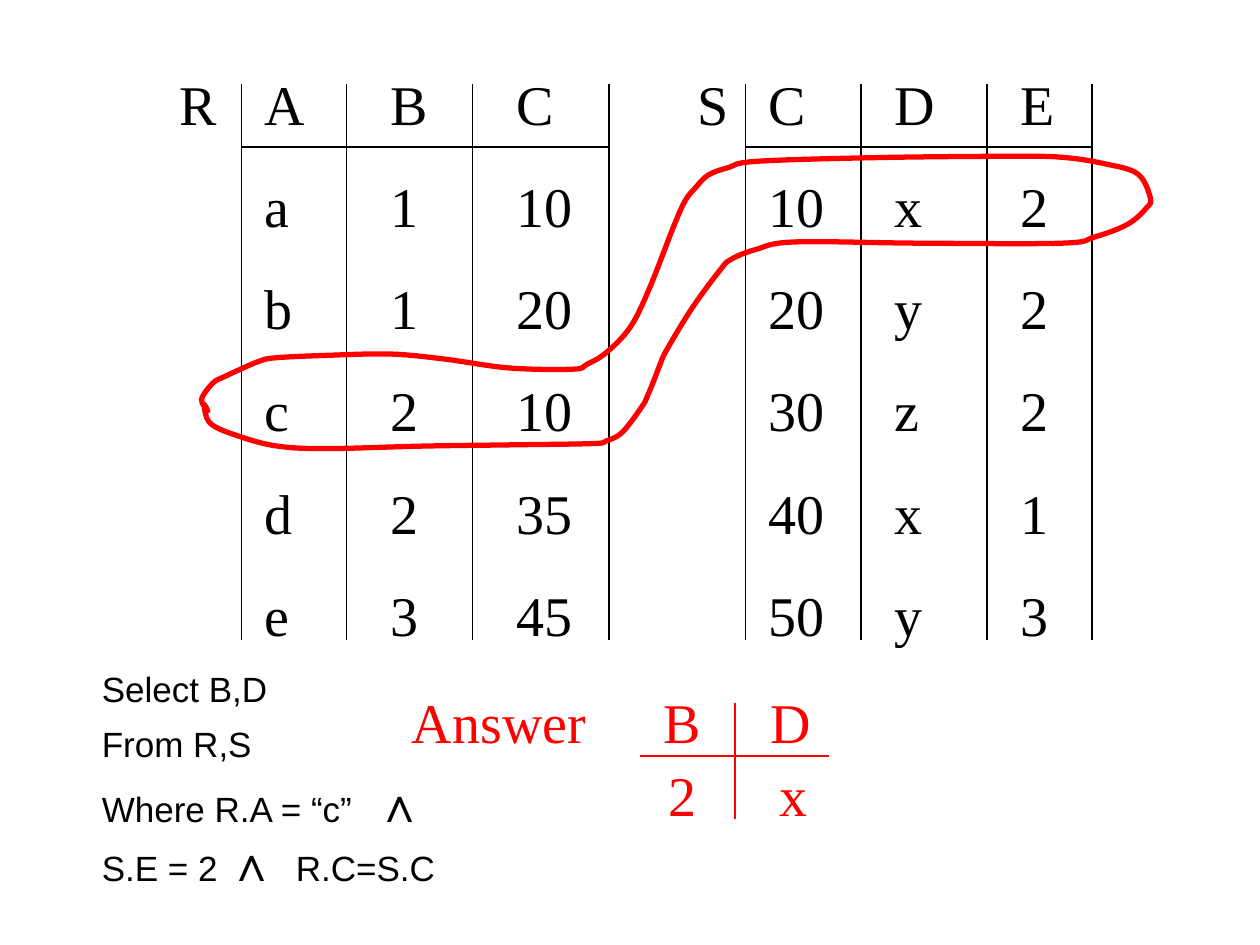
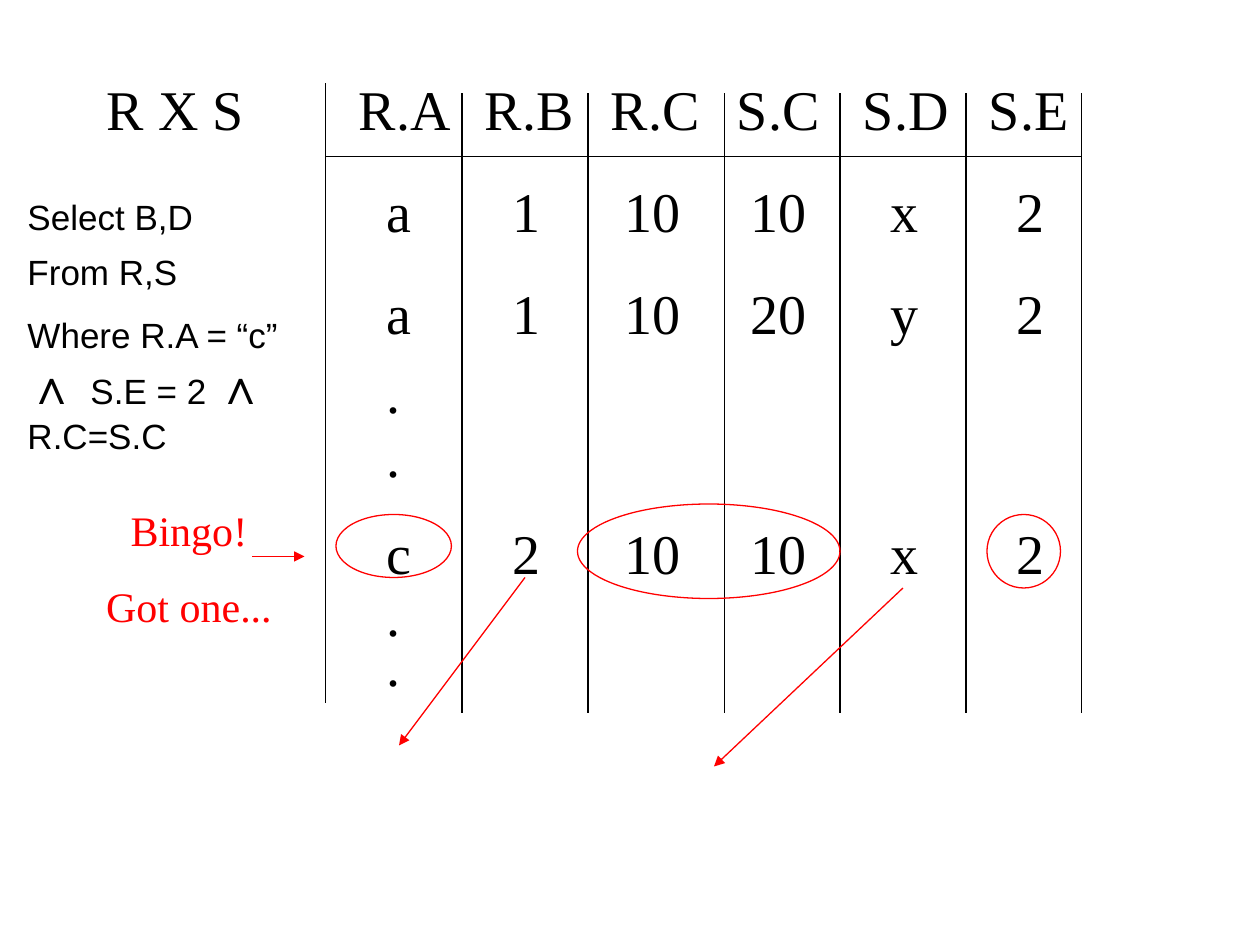
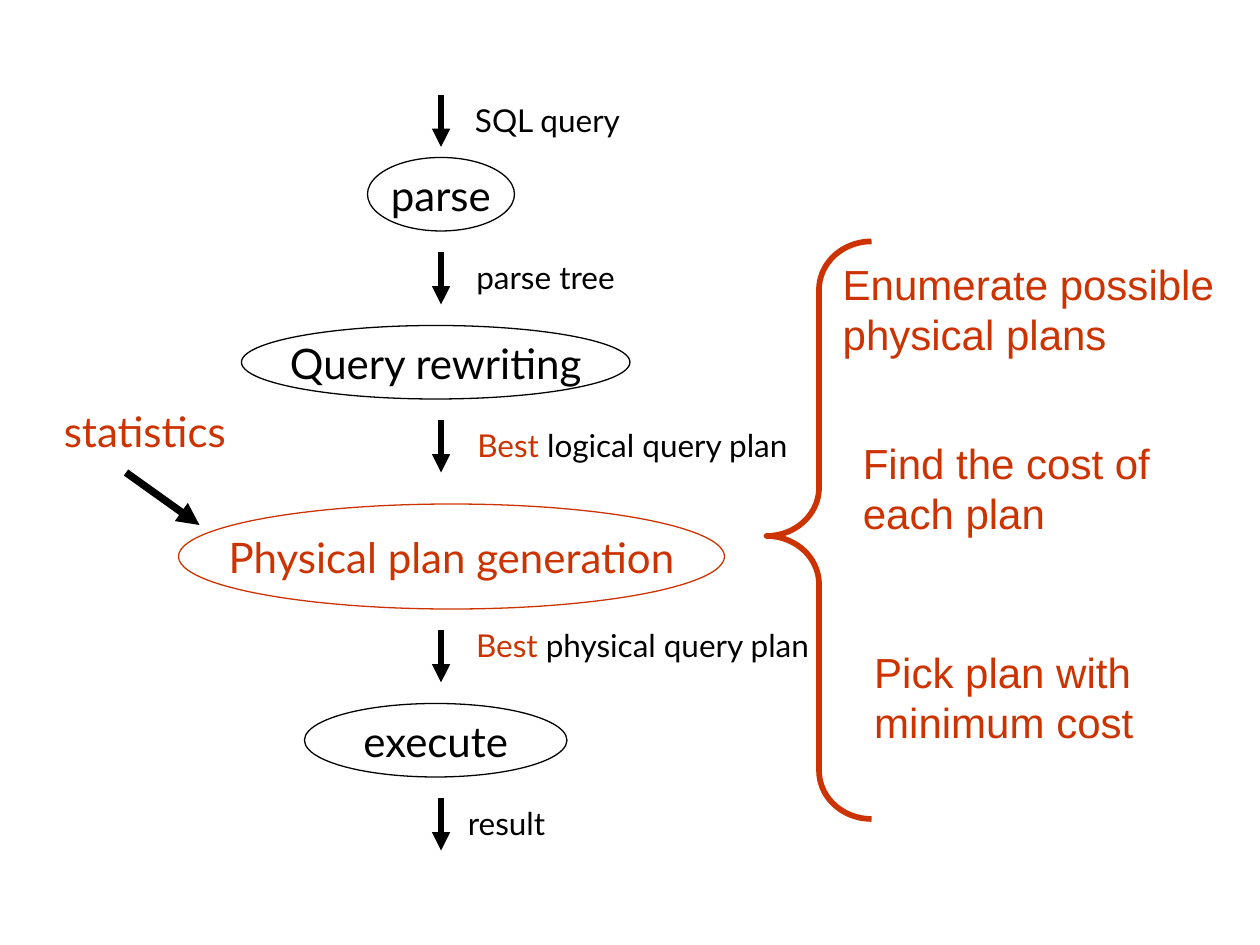
from lxml import etree
from pptx import Presentation
from pptx.dml.color import RGBColor
from pptx.enum import shapes, text
from pptx.oxml import ns
from pptx.util import Inches, Pt

BLACK = RGBColor(0x00, 0x00, 0x00)
WHITE = RGBColor(0xFF, 0xFF, 0xFF)
RED = RGBColor(0xFF, 0x00, 0x00)
RUST = RGBColor(0xCC, 0x33, 0x00)
SERIF, SANS, LABEL = "Times New Roman", "Arial", "Lato"
ROW_GAP = 20
LEFT, CENTER = text.PP_ALIGN.LEFT, text.PP_ALIGN.CENTER

JOIN_LOOP = [
    (1.62, 3.21), (1.67, 3.36), (1.89, 3.46), (2.2, 3.54), (2.6, 3.56), (3.37, 3.54),
    (4.1, 3.53), (4.71, 3.52), (4.81, 3.5), (4.94, 3.43), (5.1, 3.22), (5.14, 3.14),
    (5.19, 3.02), (5.24, 2.89), (5.29, 2.78), (5.49, 2.45), (5.71, 2.15), (5.8, 2.06),
    (6, 1.98), (6.31, 1.92), (7.3, 1.93), (8.43, 1.93), (8.69, 1.88), (8.95, 1.78),
    (9.1, 1.65), (9.13, 1.57), (9.03, 1.38), (8.77, 1.3), (8.45, 1.25), (8.08, 1.24),
    (7, 1.25), (6.01, 1.28), (5.78, 1.33), (5.62, 1.39), (5.52, 1.49), (5.44, 1.59),
    (5.35, 1.79), (5.15, 2.3), (5, 2.6), (4.81, 2.8), (4.66, 2.89), (4.55, 2.93),
    (4.04, 2.92), (3.53, 2.85), (3.1, 2.81), (2.6, 2.82), (2.18, 2.84), (2.05, 2.87),
    (1.91, 2.93), (1.78, 2.99), (1.69, 3.04), (1.6, 3.17), (1.65, 3.26),
]


def snap(value):
    twelfth = round(value * 12) / 12
    return Inches(twelfth if abs(twelfth - value) < 0.005 else value)


def add_box(page, left, top, width, height, wrap=True, anchor=text.MSO_ANCHOR.TOP):
    box = page.shapes.add_textbox(Inches(left), Inches(top), Inches(width), Inches(height))
    box.text_frame.word_wrap = wrap
    box.text_frame.vertical_anchor = anchor
    return box.text_frame


def next_para(frame):
    first = frame.paragraphs[0]
    return frame.add_paragraph() if first.runs else first


def add_para(frame, spans, font, size, color=BLACK, before=0, line=1.0,
             tabs=(), tab_kind="l", align=LEFT):
    para = next_para(frame)
    para.alignment = align
    para.line_spacing = line
    if before:
        para.space_before = Pt(before)
    if tabs:
        stops = etree.SubElement(para._p.get_or_add_pPr(), ns.qn("a:tabLst"))
        for stop in tabs:
            etree.SubElement(stops, ns.qn("a:tab"), pos=str(Inches(stop)), algn=tab_kind)
    para.font.name = font
    para.font.size = Pt(size)
    if color is not None:
        para.font.color.rgb = color
    for words in spans:
        if words == "\v":
            para.add_line_break()
        else:
            para.add_run().text = words
    return para


def add_line(page, start, end, color=BLACK, width=0.75, arrow=False):
    ends = [snap(value) for value in (*start, *end)]
    line = page.shapes.add_connector(shapes.MSO_CONNECTOR.STRAIGHT, *ends)
    line.line.color.rgb = color
    line.line.width = Pt(width)
    properties = line._element.spPr
    if arrow:
        etree.SubElement(properties.find(ns.qn("a:ln")), ns.qn("a:tailEnd"), type="triangle")
    etree.SubElement(properties, ns.qn("a:effectLst"))


def style_outline(shape, color, width=0.75, fill=None):
    shape.shadow.inherit = False
    if fill is None:
        shape.fill.background()
    else:
        shape.fill.solid()
        shape.fill.fore_color.rgb = fill
    shape.line.color.rgb = color
    shape.line.width = Pt(width)


def add_preset(page, kind, place, color, width=0.75, fill=None):
    shape = page.shapes.add_shape(kind, *[snap(value) for value in place])
    style_outline(shape, color, width, fill)
    return shape


def add_stage(page, words, place, color=BLACK):
    stage = add_preset(page, shapes.MSO_SHAPE.OVAL, place, color, fill=WHITE)
    frame = stage.text_frame
    frame.word_wrap = False
    frame.vertical_anchor = text.MSO_ANCHOR.MIDDLE
    add_para(frame, [words], LABEL, 24, color, align=CENTER)


def add_label(page, spans, left, top, width, size=18, color=BLACK, height=0.4):
    frame = add_box(page, left, top, width, height, False, text.MSO_ANCHOR.MIDDLE)
    return add_para(frame, spans, LABEL, size, color, align=CENTER)


def add_query(page, left, top, condition, before, tabs):
    frame = add_box(page, left, top, 3.1, 1.6)
    add_para(frame, ["Select B,D"], SANS, 20)
    add_para(frame, ["From R,S"], SANS, 20, before=7.5)
    pieces = condition.replace("∧", "|∧|").replace("\v", "|\v|").split("|")
    para = add_para(frame, [piece for piece in pieces if piece], SANS, 20,
                    before=before, tabs=tabs)
    for span in para.runs:
        if span.text == "∧":
            span.font.size = Pt(28)
            span.font.bold = True


def curve_outline(outline):
    edges = list(outline.iter(ns.qn("a:lnTo")))
    corners = [(int(point.get("x")), int(point.get("y")))
               for point in outline.iter(ns.qn("a:pt"))][:-1]
    count = len(corners)
    for index, edge in enumerate(edges):
        a, b, c, d = (corners[(index + shift) % count] for shift in (-1, 0, 1, 2))
        leave = [q + (r - p) / 6 for p, q, r in zip(a, b, c)]
        arrive = [r - (s - q) / 6 for q, r, s in zip(b, c, d)]
        curve = etree.Element(ns.qn("a:cubicBezTo"))
        for x, y in (leave, arrive, c):
            etree.SubElement(curve, ns.qn("a:pt"), x=str(round(x)), y=str(round(y)))
        edge.getparent().replace(edge, curve)


def add_loop(page, points, color, width):
    outline = [(Inches(x), Inches(y)) for x, y in points]
    builder = page.shapes.build_freeform(*outline[0])
    builder.add_line_segments(outline[1:] + outline[:1], close=True)
    loop = builder.convert_to_shape()
    curve_outline(loop._element.spPr)
    style_outline(loop, color, width)


def build_relations(page):
    frame = add_box(page, 1, 0.5, 8.08, 4.69)
    rows = ["R A B C S C D E".split()]
    for left_row, right_row in zip(
            ("a 1 10", "b 1 20", "c 2 10", "d 2 35", "e 3 45"),
            ("10 x 2", "20 y 2", "30 z 2", "40 x 1", "50 y 3")):
        rows.append(["", *left_row.split(), "", *right_row.split()])
    for index, row in enumerate(rows):
        add_para(frame, ["\t" + "\t".join(row)], SERIF, 32,
                 before=ROW_GAP if index else 0, tabs=(0.33, 1, 2, 3, 4.44, 5, 6, 7))
    for columns in ((1.92, 2.75, 3.75, 4.83), (5.92, 6.83, 7.83, 8.67)):
        for x in columns:
            add_line(page, (x, 0.67), (x, 5.08))
        add_line(page, (columns[0], 1.17), (columns[-1], 1.17))
    add_loop(page, JOIN_LOOP, RED, 3)

    answer = add_box(page, 3.17, 5.41, 3.6, 1.18)
    add_para(answer, ["Answer\tB\tD"], SERIF, 32, RED, tabs=(2.15, 3.01), tab_kind="ctr")
    add_para(answer, ["\t2\tx"], SERIF, 32, RED, before=ROW_GAP, line=0.5,
             tabs=(2.15, 3.03), tab_kind="ctr")
    add_line(page, (5.08, 6), (6.58, 6), RED)
    add_line(page, (5.83, 5.58), (5.83, 6.5), RED)
    add_query(page, 0.71, 5.25, "Where R.A = “c”\t∧\vS.E = 2\t∧\tR.C=S.C", 5,
              (1, 1.54, 2.17))


def build_product(page):
    frame = add_box(page, 0.75, 0.54, 9.25, 4.98)
    add_para(frame, ["R X S\tR.A\tR.B\tR.C\tS.C\tS.D\tS.E"], SERIF, 32,
             tabs=range(2, 8))
    for row, line in (("a 1 10 10 x 2", 1.0), ("a 1 10 20 y 2", 1.0), (".", 0.6),
                      (".", 0.4), ("c 2 10 10 x 2", 1.0), (".", 0.3), (".", 0.2)):
        add_para(frame, ["\t" + "\t".join(row.split())], SERIF, 32, before=ROW_GAP,
                 line=line, tabs=(2.22, 3.22, 4.11, 5.11, 6.22, 7.22))
    add_line(page, (2.58, 1.24), (8.58, 1.24))
    add_line(page, (2.58, 0.66), (2.58, 5.58))
    for x in (3.67, 4.67, 5.75, 6.67, 7.67, 8.58):
        add_line(page, (x, 0.74), (x, 5.66))
    for place in ((7.83, 4.08, 0.58, 0.58), (4.58, 4, 2.08, 0.75), (2.67, 4.08, 0.92, 0.5)):
        add_preset(page, shapes.MSO_SHAPE.OVAL, place, RED)
    for start, end in (((4.17, 4.58), (3.17, 5.92)), ((7.17, 4.67), (5.67, 6.08)),
                       ((2, 4.42), (2.42, 4.42))):
        add_line(page, start, end, RED, arrow=True)

    bingo = add_box(page, 0.7, 3.95, 1.6, 1.11, False, text.MSO_ANCHOR.MIDDLE)
    add_para(bingo, ["Bingo!"], SERIF, 24, RED, align=CENTER)
    add_para(bingo, ["Got one..."], SERIF, 24, RED, before=15, align=CENTER)
    add_query(page, 0.12, 1.5, "Where R.A = “c”\v∧\tS.E = 2\t∧\vR.C=S.C", 12, (0.5, 1.5))


def build_pipeline(page):
    add_stage(page, "parse", (2.92, 1.25, 1.17, 0.58))
    add_stage(page, "Query rewriting", (1.92, 2.58, 3.08, 0.58))
    add_stage(page, "Physical plan generation", (1.42, 4, 4.33, 0.83), RUST)
    add_stage(page, "execute", (2.42, 5.58, 2.08, 0.58))
    for y in (0.75, 2, 3.33, 5, 6.33):
        add_line(page, (3.5, y), (3.5, y + 0.42), width=3.5, arrow=True)
    add_line(page, (1, 3.75), (1.58, 4.17), width=4.25, arrow=True)

    add_label(page, ["SQL query"], 3.64, 0.75, 1.41)
    add_label(page, ["parse tree"], 3.63, 2, 1.4)
    add_label(page, ["result"], 3.61, 6.33, 0.82)
    add_label(page, ["statistics"], 0.37, 3.17, 1.56, 24, RUST, 0.5)
    for words, left, top, width in ((" logical query plan", 3.59, 3.33, 2.86),
                                    (" physical query plan", 3.58, 4.92, 3.04)):
        para = add_label(page, ["Best", words], left, top, width, color=None)
        for span, color in zip(para.runs, (RUST, BLACK)):
            span.font.color.rgb = color

    for lines, left, top, width in (
            (("Enumerate possible", "physical plans"), 6.59, 2, 3.24),
            (("Find the cost of", "each plan"), 6.75, 3.42, 2.57),
            (("Pick plan with", "minimum cost"), 6.84, 5.08, 2.33)):
        frame = add_box(page, left, top, width, 0.9, wrap=False)
        for words in lines:
            add_para(frame, [words], SANS, 24, RUST)
    brace = add_preset(page, shapes.MSO_SHAPE.LEFT_BRACE, (6.08, 1.92, 0.83, 4.58), RUST, 3.25)
    brace.adjustments[0] = 0.46
    brace.adjustments[1] = 0.51


def main():
    deck = Presentation()
    deck.slide_width, deck.slide_height = Inches(10), Inches(7.5)
    for build in (build_relations, build_product, build_pipeline):
        build(deck.slides.add_slide(deck.slide_layouts[6]))
    deck.save("out.pptx")


if __name__ == "__main__":
    main()
